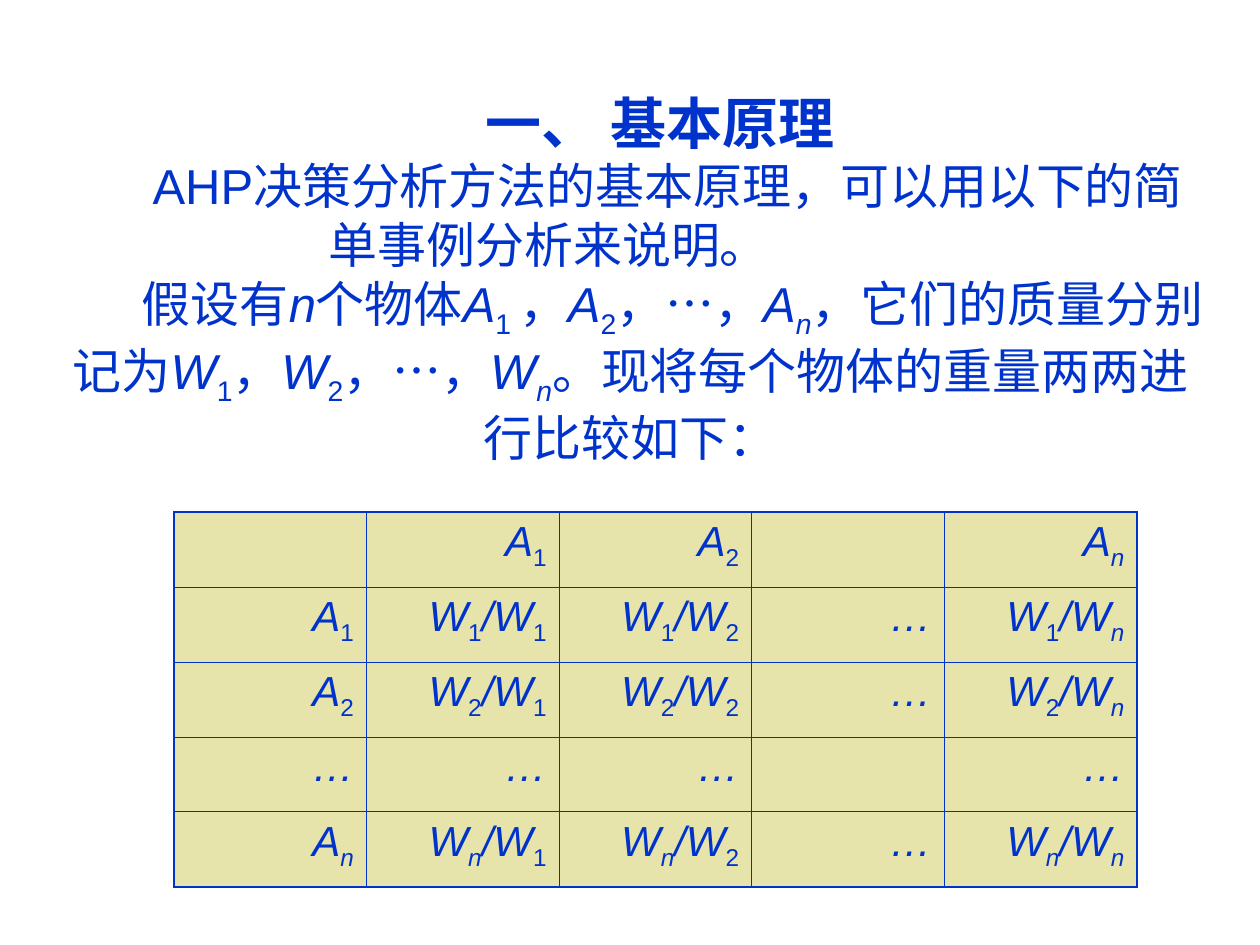
from dataclasses import dataclass

from pptx import Presentation
from pptx.dml.color import RGBColor
from pptx.enum.text import MSO_ANCHOR, MSO_AUTO_SIZE, PP_ALIGN
from pptx.oxml.ns import qn
from pptx.util import Emu, Pt
from lxml.etree import SubElement

EMU_PER_PX = 914400 // 126


@dataclass(frozen=True)
class Theme:
    font: str = "Arial"
    ink: str = "0033CC"
    cell: str = "E7E4AB"
    heading: int = 32
    body: int = 28
    table: int = 24
    outer: float = 1.08
    inner: float = 0.45


THEME = Theme()

# "|" separates runs, "_" opens a subscript run
ITALIC = {"A", "W", "/W", "n", "_n", "…"}

# text, size, bold, alignment, left margin px, first-line indent px
PARAGRAPHS = [
    ("一、 基本原理", THEME.heading, True, PP_ALIGN.CENTER, 60, 0),
    ("AHP决策分析方法的基本原理，可以用以下的简单事例分析来说明。",
     THEME.body, False, PP_ALIGN.LEFT, 274, -176),
    ("假设有|n|个物体|A|_1 |，|A|_2|，…，|A|_n|，它们的质量分别记为|"
     "W|_1|，|W|_2|，…，|W|_n|。现将每个物体的重量两两进行比较如下：",
     THEME.body, False, PP_ALIGN.CENTER, 0, 84),
]

RATIOS = [
    ["", "A|_1", "A|_2", "", "A|_n"],
    ["A|_1", "W|_1|/W|_1", "W|_1|/W|_2", "…", "W|_1|/W|_n"],
    ["A|_2", "W|_2|/W|_1", "W|_2|/W|_2", "…", "W|_2|/W|_n"],
    ["…", "…", "…", "", "…"],
    ["A|_n", "W|_n|/W|_1", "W|_n|/W|_2", "…", "W|_n|/W|_n"],
]

TITLE_BOX = (42, 82, 1177, 388)
TABLE_BOX = (174, 512, 963, 375)


def px(n):
    return Emu(n * EMU_PER_PX)


def add_runs(p, text, size, bold=False):
    for piece in text.split("|"):
        r = p.add_run()
        r.text = piece.removeprefix("_")
        r.font.name = THEME.font
        r.font.size = Pt(size)
        r.font.bold = bold
        r.font.italic = piece in ITALIC
        r.font.color.rgb = RGBColor.from_string(THEME.ink)
        if piece.startswith("_"):
            r.font._element.set("baseline", "-25000")


def fill_title(title):
    title.left, title.top, title.width, title.height = map(px, TITLE_BOX)
    tf = title.text_frame
    tf.word_wrap = True
    tf.auto_size = MSO_AUTO_SIZE.NONE
    tf.vertical_anchor = MSO_ANCHOR.TOP
    for i, (text, size, bold, align, margin, indent) in enumerate(PARAGRAPHS):
        p = tf.add_paragraph() if i else tf.paragraphs[0]
        p.alignment = align
        pPr = p._p.get_or_add_pPr()
        pPr.set("marL", str(px(margin)))
        pPr.set("indent", str(px(indent)))
        add_runs(p, text, size, bold)


def set_borders(cell, widths):
    """Draw the left, right, top and bottom lines, widths in points."""
    tcPr = cell._tc.get_or_add_tcPr()
    for side, width in zip("LRTB", widths):
        ln = SubElement(tcPr, qn(f"a:ln{side}"), w=str(Pt(width)))
        fill = SubElement(ln, qn("a:solidFill"))
        SubElement(fill, qn("a:srgbClr"), val=THEME.ink)


def add_ratio_table(s):
    n_rows, n_cols = len(RATIOS), len(RATIOS[0])
    table = s.shapes.add_table(n_rows, n_cols, *map(px, TABLE_BOX)).table
    for i, row in enumerate(RATIOS):
        for j, text in enumerate(row):
            cell = table.cell(i, j)
            on_edge = (j == 0, j == n_cols - 1, i == 0, i == n_rows - 1)
            set_borders(cell, [THEME.outer if e else THEME.inner for e in on_edge])
            cell.fill.solid()
            cell.fill.fore_color.rgb = RGBColor.from_string(THEME.cell)
            if text:
                p = cell.text_frame.paragraphs[0]
                p.alignment = PP_ALIGN.RIGHT
                add_runs(p, text, THEME.table)


def main():
    prs = Presentation()
    prs.slide_width, prs.slide_height = px(1260), px(945)
    s = prs.slides.add_slide(prs.slide_layouts[5])
    fill_title(s.shapes.title)
    add_ratio_table(s)
    prs.save("out.pptx")


if __name__ == "__main__":
    main()
